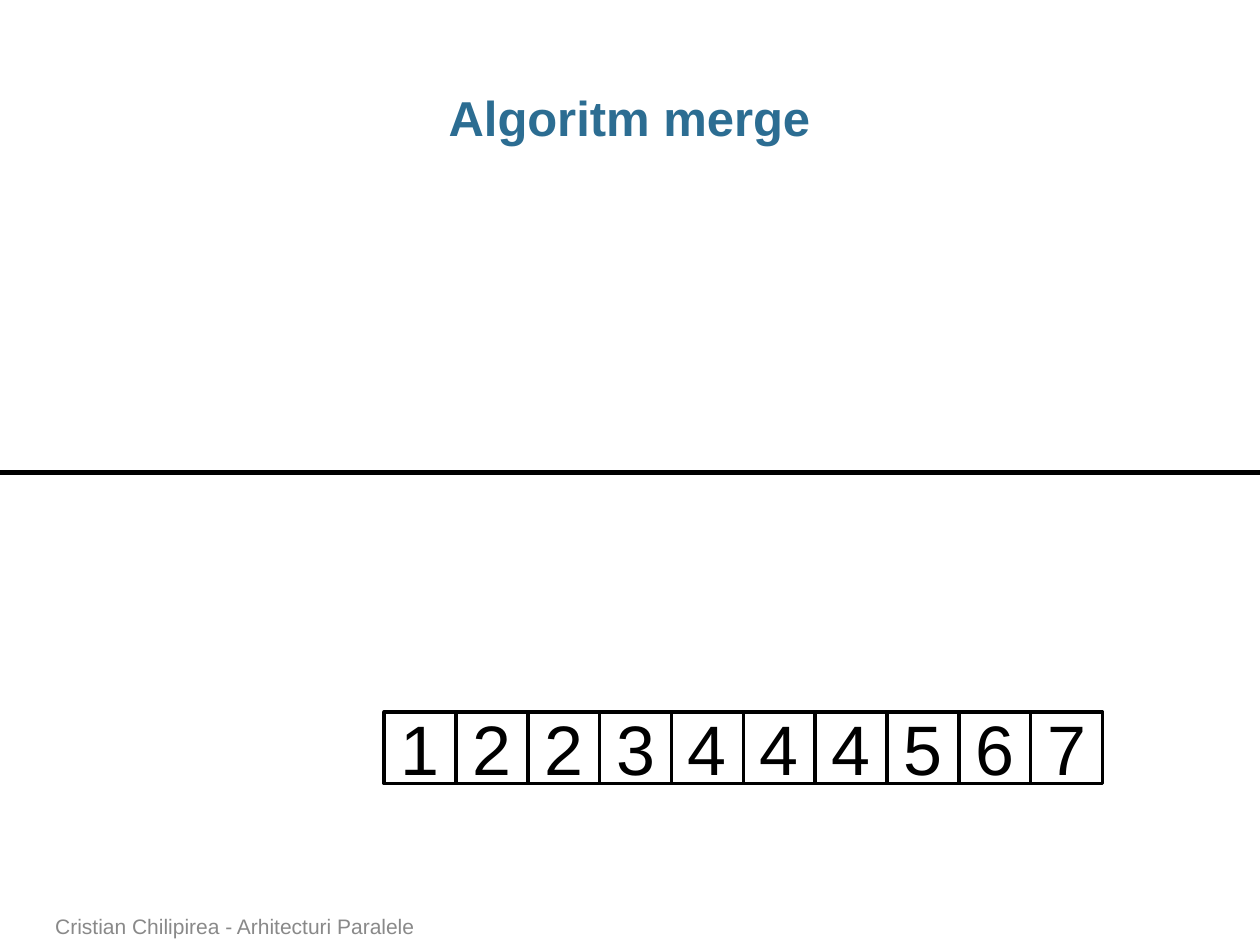
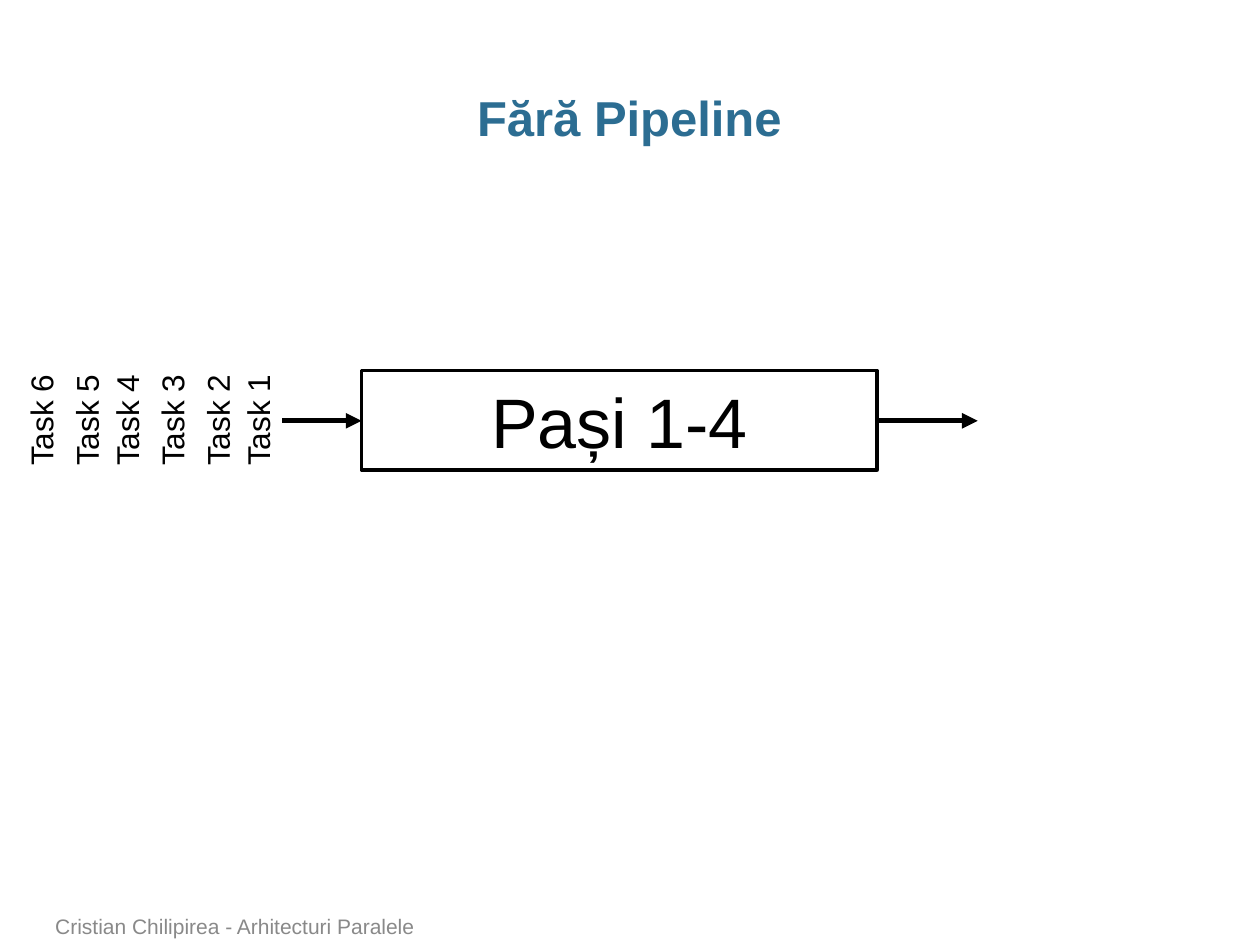
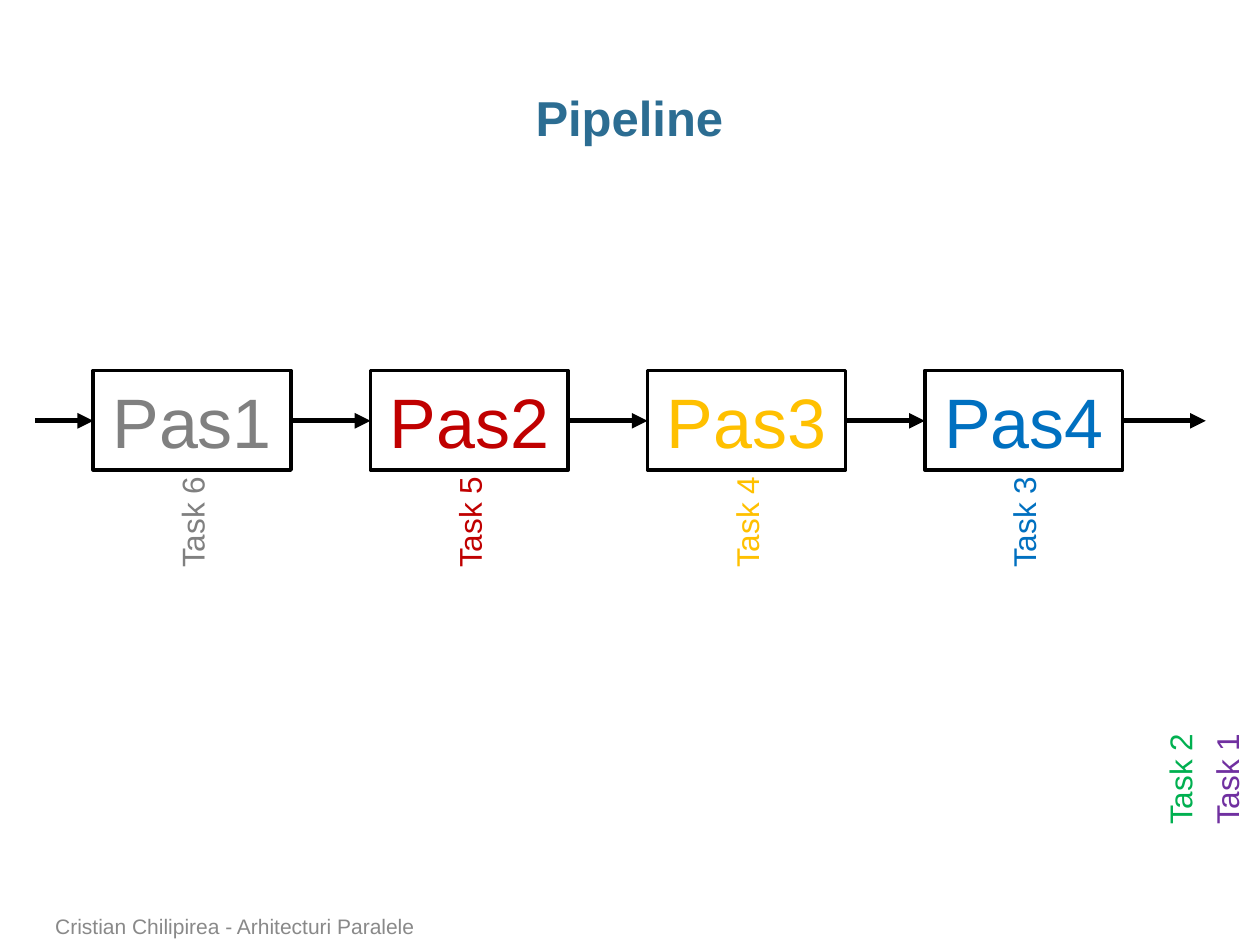
"""Build three slides on merging and pipelines."""
from lxml import etree
from pptx import Presentation
from pptx.dml.color import RGBColor
from pptx.enum.shapes import MSO_CONNECTOR as Link, MSO_SHAPE as Shape
from pptx.enum.text import MSO_ANCHOR as Anchor, MSO_AUTO_SIZE as Fit, PP_ALIGN as Align
from pptx.oxml.ns import qn
from pptx.util import Inches, Pt

BLACK = RGBColor(0x00, 0x00, 0x00)
TEAL = RGBColor(0x2C, 0x6D, 0x92)
PALE = RGBColor(0x89, 0x89, 0x89)
GRAY = RGBColor(0x80, 0x80, 0x80)
RED = RGBColor(0xC0, 0x00, 0x00)
GOLD = RGBColor(0xFF, 0xC0, 0x00)
BLUE = RGBColor(0x00, 0x70, 0xC0)
GREEN = RGBColor(0x00, 0xB0, 0x50)
PLUM = RGBColor(0x70, 0x30, 0xA0)

FONT = "Arial"
FOOT = "Cristian Chilipirea - Arhitecturi Paralele"
TOP, HIGH, MID = 2.94, 0.79, 3.34


def write(frame, text, size=18, color=BLACK, bold=False, align=Align.LEFT,
          anchor=Anchor.TOP, wrap=True, fit=Fit.NONE):
    """Put formatted text in a frame and return its paragraph."""
    frame.word_wrap = wrap
    frame.auto_size = fit
    frame.vertical_anchor = anchor
    para = frame.paragraphs[0]
    para.alignment = align
    run = para.add_run()
    run.text = text
    font = run.font
    font.name, font.size, font.bold = FONT, Pt(size), bold
    font.color.rgb = color
    return para


def place(left, top, width, height):
    """Turn a frame in inches into lengths."""
    return [Inches(n) for n in (left, top, width, height)]


def add_slide(deck, text):
    """Add a slide with the shared title and footer."""
    slide = deck.slides.add_slide(deck.slide_layouts[5])
    title = slide.shapes.title
    title.left, title.top, title.width, title.height = place(0.34, 0.68, 9.31, 0.5)
    frame = title.text_frame
    frame.margin_left = frame.margin_right = 0
    para = write(frame, text, size=28, color=TEAL, bold=True, align=Align.CENTER)
    para.line_spacing = 0.95
    foot = slide.shapes.add_textbox(*place(0.34, 7.22, 7.37, 0.28))
    write(foot.text_frame, FOOT, size=12, color=PALE, anchor=Anchor.BOTTOM)
    return slide


def add_box(slide, text, left, top, width, height, color=BLACK):
    """Add an outlined box with large centred text."""
    box = slide.shapes.add_shape(Shape.RECTANGLE, *place(left, top, width, height))
    box.shadow.inherit = False
    box.fill.background()
    box.line.color.rgb = BLACK
    box.line.width = Pt(2)
    write(box.text_frame, text, size=40, color=color,
          align=Align.CENTER, anchor=Anchor.MIDDLE)


def add_line(slide, start, end, y, arrow=True):
    """Add a level line, with an arrowhead if wanted."""
    line = slide.shapes.add_connector(Link.STRAIGHT, *place(start, y, end, y))
    line.line.color.rgb = BLACK
    line.line.width = Pt(3)
    props = line._element.spPr
    if arrow:
        etree.SubElement(props.find(qn("a:ln")), qn("a:tailEnd"), type="triangle")
    etree.SubElement(props, qn("a:effectLst"))


def add_task(slide, num, left, top, color=BLACK):
    """Add a task label that reads upward."""
    task = slide.shapes.add_textbox(*place(left, top, 0.93, 0.4))
    task.rotation = 270
    write(task.text_frame, f"Task {num}", color=color, wrap=False,
          fit=Fit.SHAPE_TO_FIT_TEXT)


def draw_merge(deck):
    """Draw the merged row of numbers."""
    slide = add_slide(deck, "Algoritm merge")
    side = 0.57
    for col, digit in enumerate("1223444567"):
        add_box(slide, digit, 3.05 + col * side, 5.65, side, side)
    add_line(slide, 0, 10, 3.75, arrow=False)


def draw_single(deck):
    """Draw the tasks waiting for one block of steps."""
    slide = add_slide(deck, "Fără Pipeline")
    add_box(slide, "Pași 1-4", 2.87, TOP, 4.09, HIGH)
    add_line(slide, 2.24, 2.87, MID)
    add_line(slide, 6.97, 7.76, MID)
    for num, left in enumerate((1.58, 1.26, 0.9, 0.54, 0.22, -0.14), 1):
        add_task(slide, num, left, 3.13)


def draw_pipe(deck):
    """Draw the four steps, each with its own task."""
    slide = add_slide(deck, "Pipeline")
    first, pitch, width = 0.74, 2.2, 1.57
    ends = (2.94, 5.14, 7.34, 9.57)
    add_line(slide, 0.28, first, MID)
    for step, (color, end) in enumerate(zip((GRAY, RED, GOLD, BLUE), ends)):
        left = first + step * pitch
        add_box(slide, f"Pas{step + 1}", left, TOP, width, HIGH, color)
        add_line(slide, left + width, end, MID)
        add_task(slide, 6 - step, left + 0.32, 3.94, color)
    add_task(slide, 2, 8.9, 5.98, GREEN)
    add_task(slide, 1, 9.27, 5.98, PLUM)


def main():
    """Build and save the deck."""
    deck = Presentation()
    deck.slide_width, deck.slide_height = Inches(10), Inches(7.5)
    draw_merge(deck)
    draw_single(deck)
    draw_pipe(deck)
    deck.save("out.pptx")


if __name__ == "__main__":
    main()
